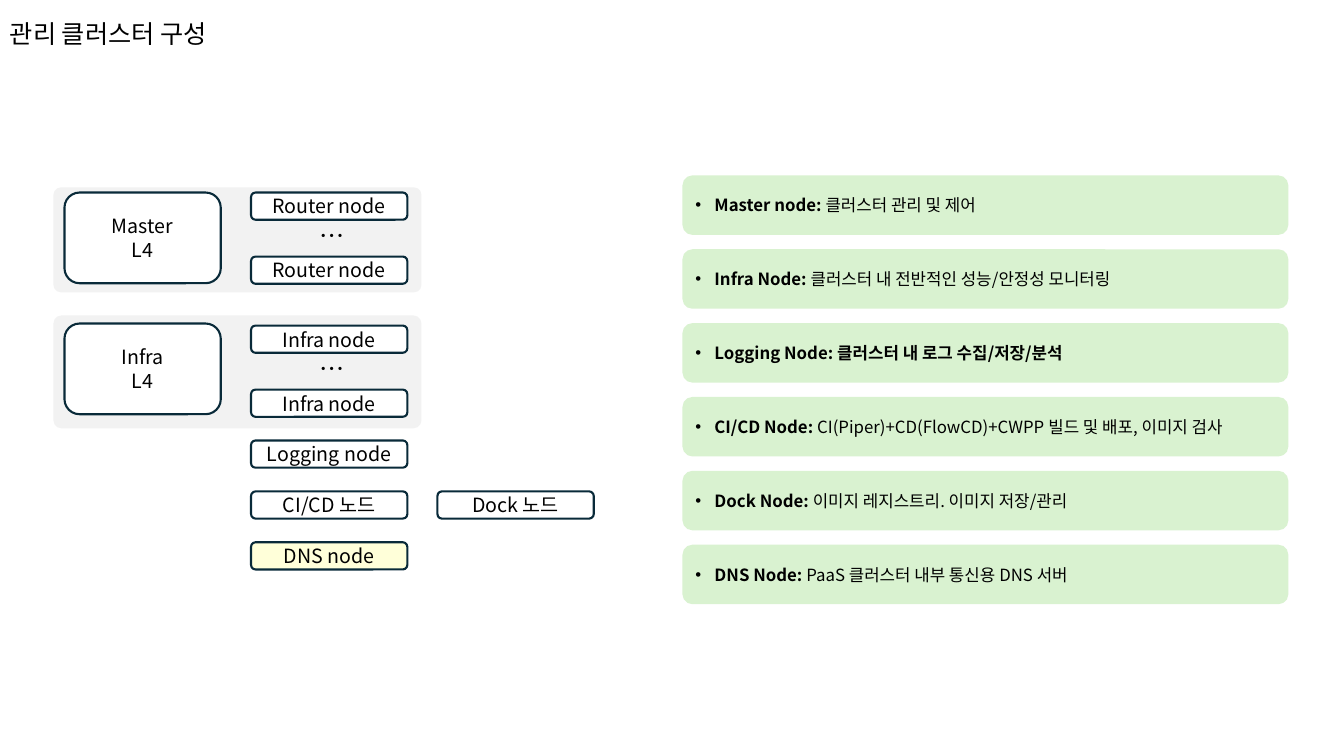
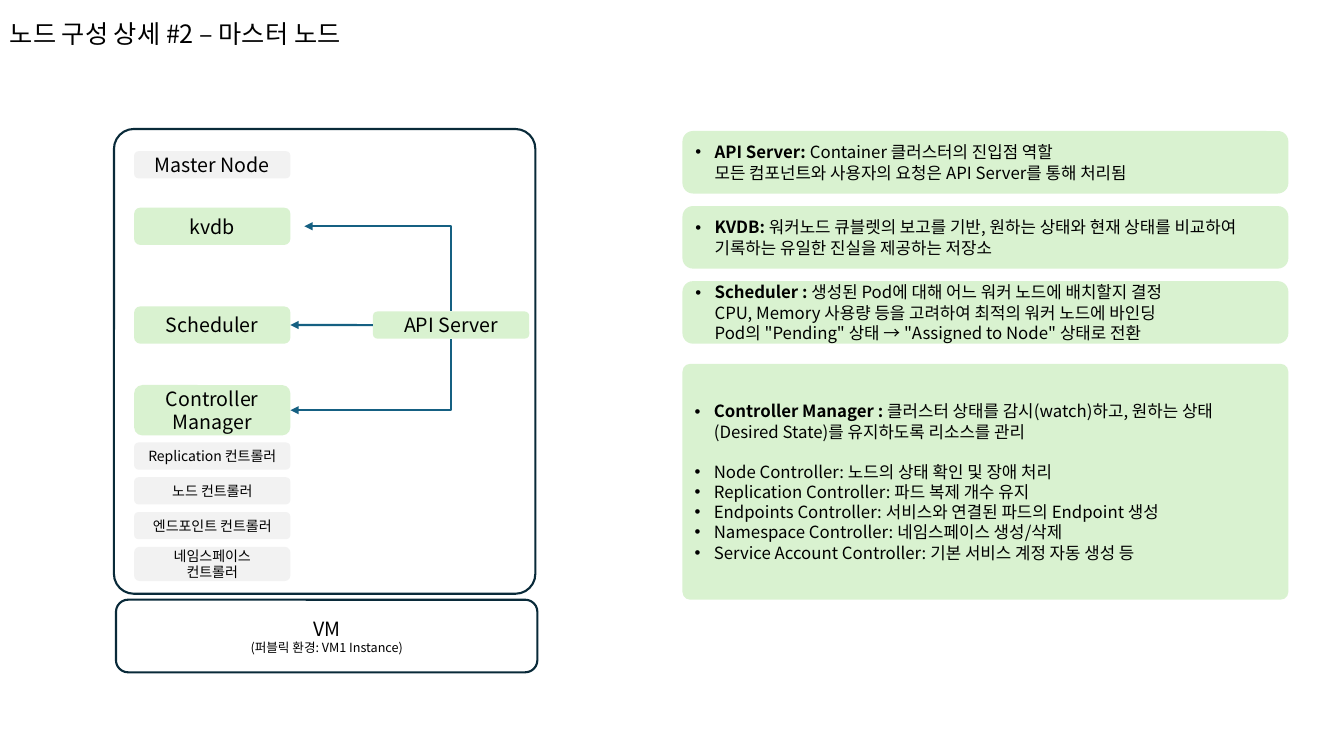
"""Build two slides on a management cluster and its master node."""
import lxml.etree
import pptx
import pptx.dml.color
import pptx.enum.shapes
import pptx.enum.text
import pptx.oxml.ns
import pptx.util

COLORS = {"ink": "000000", "white": "FFFFFF", "gray": "F2F2F2", "green": "D9F2D0",
          "cream": "FFFFD9", "outline": "092A39", "arrow": "156082"}
FONT = "Noto Sans CJK KR"
ALIGN = pptx.enum.text.PP_ALIGN
CONNECTOR = pptx.enum.shapes.MSO_CONNECTOR
qn = pptx.oxml.ns.qn

deck = pptx.Presentation()
deck.slide_width = pptx.util.Inches(13.33)
deck.slide_height = pptx.util.Inches(7.5)
COL = deck.slide_width / 100
ROW = deck.slide_height / 100

NODE_W, NODE_H = 11.63, 3.6
CARD_X, CARD_W = 50.78, 45.08


def style(frame, size, align):
    """Apply the shared font, size and alignment to all text of a frame."""
    for paragraph in frame.paragraphs:
        paragraph.alignment = align
        for run in paragraph.runs:
            run.font.size = pptx.util.Pt(size)
            run.font.color.rgb = pptx.dml.color.RGBColor.from_string(COLORS["ink"])
            run.font.name = FONT
            lxml.etree.SubElement(run.font._element, qn("a:ea"), typeface=FONT)
        for line_break in paragraph._p.findall(qn("a:br")):
            lxml.etree.SubElement(line_break, qn("a:rPr"), sz=str(size * 100))


def box(slide, left, top, width, height, fill, text="", size=14, outlined=False, corner=0.1667):
    """Add a rounded box placed in hundredths of the slide."""
    shape = slide.shapes.add_shape(
        pptx.enum.shapes.MSO_SHAPE.ROUNDED_RECTANGLE,
        round(left * COL), round(top * ROW), round(width * COL), round(height * ROW))
    shape.adjustments[0] = corner
    shape.shadow.inherit = False
    shape.fill.solid()
    shape.fill.fore_color.rgb = pptx.dml.color.RGBColor.from_string(COLORS[fill])
    if outlined:
        shape.line.color.rgb = pptx.dml.color.RGBColor.from_string(COLORS["outline"])
        shape.line.width = pptx.util.Pt(1.5)
    else:
        shape.line.fill.background()
    shape.text_frame.vertical_anchor = pptx.enum.text.MSO_ANCHOR.MIDDLE
    if text:
        shape.text_frame.text = text
        style(shape.text_frame, size, ALIGN.CENTER)
    return shape


cluster, master = [deck.slides.add_slide(deck.slide_layouts[6]) for _ in range(2)]

groups = [
    ("Master\nL4", "Router node", 24.8, 13.87, 25.47, 25.47),
    ("Infra\nL4", "Infra node", 41.73, 14.93, 42.8, 43.07),
]
labels = [
    (cluster, "관리 클러스터 구성", 0, 1.73, 18.68),
    (master, "노드 구성 상세 #2 – 마스터 노드", 0, 1.73, 29.55),
]
for balancer, member, panel_top, panel_height, balancer_top, member_top in groups:
    box(cluster, 3.98, panel_top, 27.38, panel_height, "gray", corner=0.07)
    box(cluster, 4.8, balancer_top, NODE_W, 12, "white", balancer, outlined=True)
    for top in (member_top, member_top + 8.47):
        box(cluster, 18.68, top, NODE_W, NODE_H, "white", member, outlined=True)
    labels.append((cluster, "…", 23.03, member_top + 3.06, 2.93))

for slide, text, left, top, width in labels:
    label = slide.shapes.add_textbox(
        round(left * COL), round(top * ROW), round(width * COL), round(5.33 * ROW))
    label.text_frame.word_wrap = False
    label.text_frame.text = text
    style(label.text_frame, 18, ALIGN.LEFT)

single_nodes = [
    ("Logging node", 0, 0, "white"),
    ("CI/CD 노드", 0, 1, "white"),
    ("Dock 노드", 1, 1, "white"),
    ("DNS node", 0, 2, "cream"),
]
for text, column, row, fill in single_nodes:
    box(cluster, 18.68 + column * 13.87, 58.27 + row * 6.73, NODE_W, NODE_H,
        fill, text, outlined=True)

box(master, 8.48, 17.07, 31.35, 61.47, "white", outlined=True, corner=0.047)
box(master, 8.63, 79.33, 31.35, 9.6, "white", "VM\n(퍼블릭 환경: VM1 Instance)",
    outlined=True).text_frame.paragraphs[1].runs[0].font.size = pptx.util.Pt(9)
box(master, 9.98, 20, NODE_W, NODE_H, "gray", "Master Node")
state_store = box(master, 9.98, 27.47, NODE_W, 4.93, "green", "kvdb")
scheduler = box(master, 9.98, 40.53, NODE_W, 4.93, "green", "Scheduler")
manager = box(master, 9.98, 50.93, NODE_W, 6.67, "green", "Controller\nManager")
api_server = box(master, 27.75, 41.2, NODE_W, NODE_H, "green", "API Server")

controllers = ["Replication 컨트롤러", "노드 컨트롤러", "엔드포인트 컨트롤러", "네임스페이스\n컨트롤러"]
for row, text in enumerate(controllers):
    box(master, 9.98, 58.53 + row * 4.6, NODE_W, 4.53 if "\n" in text else NODE_H,
        "gray", text, size=10)

links = [
    (state_store, CONNECTOR.ELBOW, 0),
    (scheduler, CONNECTOR.STRAIGHT, 1),
    (manager, CONNECTOR.ELBOW, 2),
]
for component, route, api_side in links:
    link = master.shapes.add_connector(
        route, round(22.65 * COL), component.top + component.height // 2,
        api_server.left, api_server.top)
    if component is not state_store:
        link.begin_connect(component, 3)
    link.end_connect(api_server, api_side)
    link.line.color.rgb = pptx.dml.color.RGBColor.from_string(COLORS["arrow"])
    link.line.width = pptx.util.Pt(1.5)
    lxml.etree.SubElement(link.line._get_or_add_ln(), qn("a:headEnd"), type="triangle")
    properties = link._element.spPr
    lxml.etree.SubElement(properties, qn("a:effectLst"))
    if route == CONNECTOR.ELBOW:
        properties.find(qn("a:prstGeom")).set("prst", "bentConnector2")

cluster_notes = [
    ("Master node: ", "클러스터 관리 및 제어"),
    ("Infra Node: ", "클러스터 내 전반적인 성능/안정성 모니터링"),
    ("Logging Node: 클러스터 내 로그 수집/저장/분석", ""),
    ("CI/CD Node: ", "CI(Piper)+CD(FlowCD)+CWPP 빌드 및 배포, 이미지 검사"),
    ("Dock Node: ", "이미지 레지스트리. 이미지 저장/관리"),
    ("DNS Node: ", "PaaS 클러스터 내부 통신용 DNS 서버"),
]
master_notes = [
    ("API Server: ", "Container 클러스터의 진입점 역할\n"
     "모든 컴포넌트와 사용자의 요청은 API Server를 통해 처리됨"),
    ("KVDB: ", "워커노드 큐블렛의 보고를 기반, 원하는 상태와 현재 상태를 비교하여 "
     "기록하는 유일한 진실을 제공하는 저장소"),
    ("Scheduler : ", "생성된 Pod에 대해 어느 워커 노드에 배치할지 결정\n"
     "CPU, Memory 사용량 등을 고려하여 최적의 워커 노드에 바인딩\n"
     "Pod의 \"Pending\" 상태 → \"Assigned to Node\" 상태로 전환"),
]
manager_notes = [
    ("Controller Manager : ", "클러스터 상태를 감시(watch)하고, "
     "원하는 상태(Desired State)를 유지하도록 리소스를 관리"),
    ("", "Node Controller: 노드의 상태 확인 및 장애 처리"),
    ("", "Replication Controller: 파드 복제 개수 유지"),
    ("", "Endpoints Controller: 서비스와 연결된 파드의 Endpoint 생성"),
    ("", "Namespace Controller: 네임스페이스 생성/삭제"),
    ("", "Service Account Controller: 기본 서비스 계정 자동 생성 등"),
]
cards = [(cluster, 23.2 + row * 9.77, 7.87, [note], 0.1667)
         for row, note in enumerate(cluster_notes)]
cards += [(master, 17.33 + row * 9.93, 8.27, [note], 0.1667)
          for row, note in enumerate(master_notes)]
cards.append((master, 48.13, 31.2, manager_notes, 0.033))

for slide, top, height, notes, corner in cards:
    frame = box(slide, CARD_X, top, CARD_W, height, "green", corner=corner).text_frame
    frame.text = "\n".join(term for term, _ in notes)
    for index, (paragraph, (term, detail)) in enumerate(zip(frame.paragraphs, notes)):
        for run in paragraph.runs:
            run.font.bold = True
        for number, line in enumerate(detail.split("\n") if detail else []):
            if number:
                paragraph.add_line_break()
            paragraph.add_run().text = line
        if index == 1:
            paragraph.space_before = pptx.util.Pt(14.4)
        indent = pptx.util.Inches(0.19)
        layout = paragraph._p.get_or_add_pPr()
        layout.set("marL", str(indent))
        layout.set("indent", str(-indent))
        lxml.etree.SubElement(layout, qn("a:buFont"), typeface="Arial")
        lxml.etree.SubElement(layout, qn("a:buChar"), char="•")
    style(frame, 12, ALIGN.LEFT)

deck.save("out.pptx")
